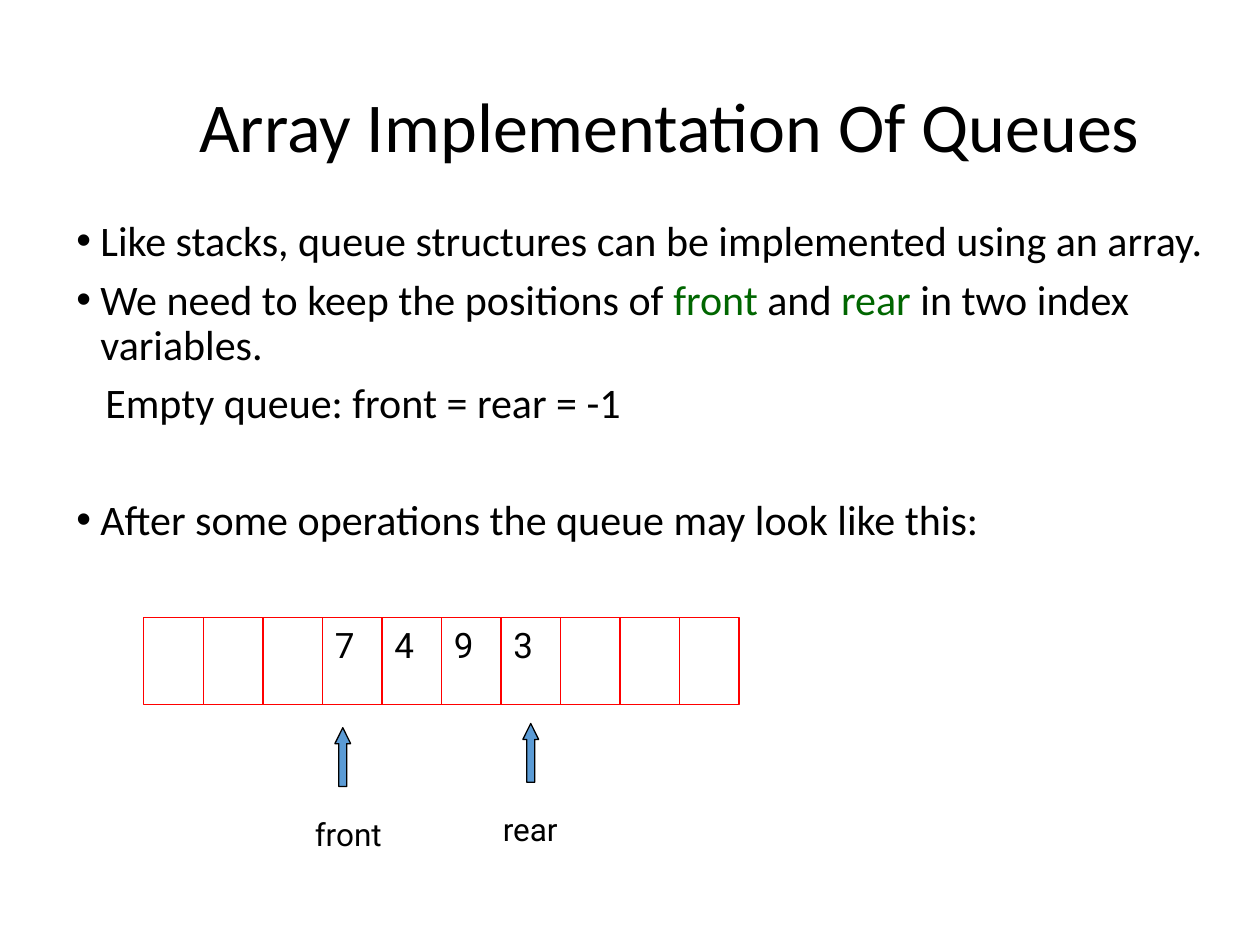
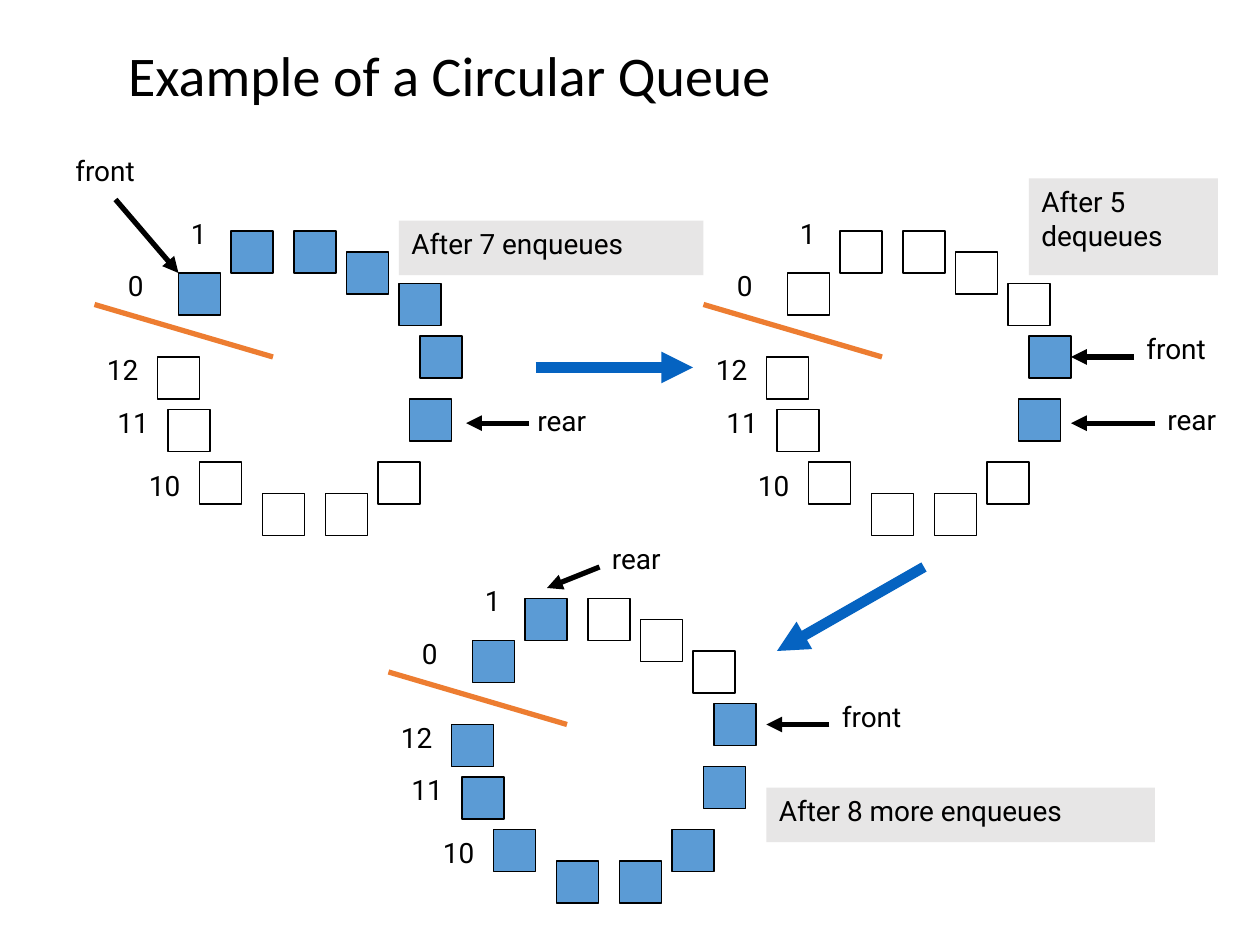
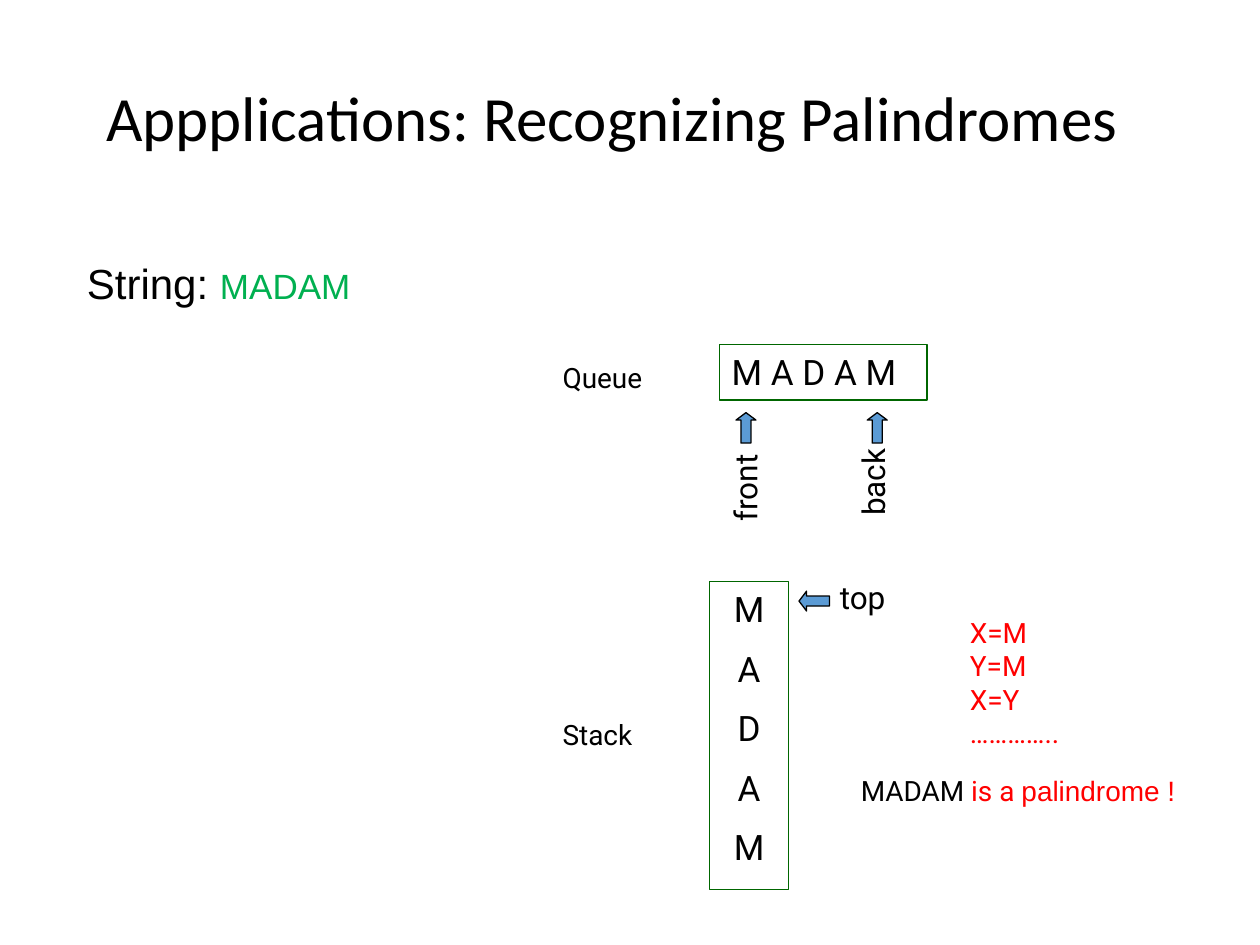
from pptx import Presentation
from pptx.dml.color import RGBColor
from pptx.enum.shapes import MSO_CONNECTOR, MSO_SHAPE
from pptx.enum.text import MSO_ANCHOR, PP_ALIGN
from pptx.oxml.ns import qn
from pptx.util import Inches, Pt
from lxml.etree import SubElement

COLORS = {
    "black": "000000",
    "blue": "5B9BD5",
    "deep_blue": "0563C1",
    "orange": "ED7D31",
    "grey": "E7E6E6",
    "red": "FF0000",
    "dark_green": "006600",
    "green": "00B050",
}
TITLE_FONT = "Calibri"
LABEL_FONT = "Roboto"
PLAIN_FONT = "Arial"

SLIDE_W, SLIDE_H = Inches(10), Inches(7.5)
COLS, ROWS = 120, 90

RING_CELLS = [(8, 6), (13, 2), (19, 2), (24, 4), (29, 7), (31, 12), (30, 18),
              (27, 24), (22, 27), (16, 27), (10, 24), (7, 19), (6, 14)]
RING_LABELS = [("1", 8, 0, 5), ("0", 2, 5, 5), ("12", 0, 13, 7),
               ("11", 1, 18, 9), ("10", 4, 24, 9)]
CELL = 4


def col(n):
    return round(n * SLIDE_W / COLS)


def row(n):
    return round(n * SLIDE_H / ROWS)


def place(box):
    x, y, w, h = box
    return col(x), row(y), col(w), row(h)


def rgb(name):
    return RGBColor.from_string(COLORS[name])


def style(r, size, color="black", font=LABEL_FONT):
    r.font.size = Pt(size)
    r.font.name = font
    r.font.color.rgb = rgb(color)


def write(sp, text, size, color="black", font=LABEL_FONT, align=PP_ALIGN.LEFT, gap=0):
    tf = sp.text_frame
    tf.word_wrap = True
    tf.vertical_anchor = MSO_ANCHOR.TOP
    tf.text = text
    for i, p in enumerate(tf.paragraphs):
        p.alignment = align
        p.space_before = Pt(gap if i else 0)
        for r in p.runs:
            style(r, size, color, font)


def add_runs(p, runs):
    for text, size, color, font in runs:
        r = p.add_run()
        r.text = text
        style(r, size, color, font)


def add_text(s, box, text="", size=16, color="black"):
    sp = s.shapes.add_textbox(*place(box))
    write(sp, text, size, color)
    return sp


def add_box(s, box, fill=None, line=None, kind=MSO_SHAPE.RECTANGLE):
    sp = s.shapes.add_shape(kind, *place(box))
    sp.shadow.inherit = False
    if fill:
        sp.fill.solid()
        sp.fill.fore_color.rgb = rgb(fill)
    else:
        sp.fill.background()
    if line:
        sp.line.color.rgb = rgb(line)
        sp.line.width = Pt(0.75)
    else:
        sp.line.fill.background()
    return sp


def add_block_arrow(s, box, head, kind=MSO_SHAPE.UP_ARROW):
    sp = add_box(s, box, "blue", "black", kind)
    sp.adjustments[0] = 0.5
    sp.adjustments[1] = head


def add_line(s, start, end, color="black", width=3, arrow=True):
    sp = s.shapes.add_connector(MSO_CONNECTOR.STRAIGHT, col(start[0]), row(start[1]),
                                col(end[0]), row(end[1]))
    sp.line.color.rgb = rgb(color)
    sp.line.width = Pt(width)
    if arrow:
        SubElement(sp.line._get_or_add_ln(), qn("a:tailEnd"), type="triangle")
    SubElement(sp._element.spPr, qn("a:effectLst"))
    return sp


def add_slide(prs, title, box, size):
    s = prs.slides.add_slide(prs.slide_layouts[5])
    sp = s.shapes.title
    sp.left, sp.top, sp.width, sp.height = place(box)
    write(sp, title, size, font=TITLE_FONT)
    sp.text_frame.vertical_anchor = MSO_ANCHOR.MIDDLE
    sp.text_frame.paragraphs[0].line_spacing = 0.9
    return s


def bullet_list(s, box, items):
    tf = add_text(s, box).text_frame
    for i, (bullet, gap, runs) in enumerate(items):
        p = tf.add_paragraph() if i else tf.paragraphs[0]
        p.line_spacing = 0.9
        p.space_before = Pt(gap)
        add_runs(p, [(text, 24, color, TITLE_FONT) for text, color in runs])
        pPr = p._p.get_or_add_pPr()
        pPr.set("marL", str(Inches(0.19 if bullet else 0.23)))
        pPr.set("indent", str(Inches(-0.19 if bullet else 0)))
        if bullet:
            SubElement(pPr, qn("a:buFont"), typeface=PLAIN_FONT)
            SubElement(pPr, qn("a:buChar"), char="•")
        else:
            SubElement(pPr, qn("a:buNone"))


def array_cells(s, box, values):
    x, y, w, h = box
    step = w / len(values)
    for i, value in enumerate(values):
        sp = add_box(s, (x + i * step, y, step, h), line="red")
        if value:
            write(sp, value, 20)


def index_pointer(s, box, name):
    x, y, w, h = box
    add_block_arrow(s, (x + 3.1, y, 1.5, 5.6), 1.015)
    add_text(s, (x, y + h - 4.8, w, 4.8), name, 18)


def ring(s, origin, filled):
    x, y = origin
    cells = [add_box(s, (x + dx, y + dy, CELL, CELL),
                     "blue" if i in filled else None, "black")
             for i, (dx, dy) in enumerate(RING_CELLS)]
    for text, dx, dy, w in RING_LABELS:
        add_text(s, (x + dx, y + dy, w, 5.2), text)
    add_line(s, (x, y + 9), (x + 17, y + 14), "orange", arrow=False)
    return cells


def caption(s, box, text):
    write(add_box(s, box, "grey"), text, 16)


def marker(s, box, name, start, end):
    add_text(s, box, name)
    return add_line(s, start, end)


def queue_panel(s, box):
    x, y, w, h = box
    add_text(s, (x, y + 0.9, 10.4, 4.4), "Queue")
    write(add_box(s, (x + w - 19.8, y, 19.8, 5.3), line="dark_green"), "M A D A M", 20)
    for name, arrow_x, label_x, label_y, label_w in [("front", 17.7, 13.8, 10.9, 9.5),
                                                     ("back", 30.2, 25.5, 9.9, 10.4)]:
        add_block_arrow(s, (x + arrow_x, y + 6.5, 1.9, 2.9), 0.374)
        sp = add_text(s, (x + label_x, y + label_y, label_w, 4.8), name, 18)
        sp.rotation = 270


def stack_panel(s, box):
    x, y, w, h = box
    add_text(s, (x, y + 12.3, 10.4, 4.4), "Stack")
    sp = add_box(s, (x + 15.2, y, 7.5, h), line="dark_green")
    write(sp, "\n".join("MADAM"), 20, align=PP_ALIGN.CENTER, gap=10)
    add_block_arrow(s, (x + 23.7, y + 0.9, 2.9, 1.9), 0.381, MSO_SHAPE.LEFT_ARROW)
    add_text(s, (x + w - 8.5, y - 0.9, 8.5, 4.8), "top", 18)


def array_slide(prs):
    s = add_slide(prs, "Array Implementation Of Queues", (17.8, 2.8, 102.2, 19.2), 40)
    bullet_list(s, (6.1, 20.4, 113.9, 36), [
        (True, 7.5, [("Like stacks, queue structures can be implemented using an array.",
                      "black")]),
        (True, 7.5, [("We need to keep the positions of ", "black"),
                     ("front ", "dark_green"), ("and ", "black"),
                     ("rear", "dark_green"), (" in two index variables.", "black")]),
        (False, 7.5, [("Empty queue: front = rear = -1", "black")]),
        (True, 40.5, [("After some operations the queue may look like this:", "black")]),
    ])
    array_cells(s, (13.7, 58.8, 56.7, 8.3), ["", "", "", "7", "4", "9", "3", "", "", ""])
    index_pointer(s, (28.8, 69.3, 9.5, 12.5), "front")
    index_pointer(s, (46.7, 68.9, 9.5, 12.5), "rear")


def circular_slide(prs):
    s = add_slide(prs, "Example of a Circular Queue", (11, 2, 109, 11), 32)

    ring(s, (9, 20), range(7))
    caption(s, (38, 21, 29, 5.2), "After 7 enqueues")
    marker(s, (6, 14, 19, 5.2), "front", (11, 19), (17, 26))
    marker(s, (50, 37.8, 19, 5.2), "rear", (50.4, 40.3), (44.4, 40.3))
    add_line(s, (51, 35), (66, 35), "deep_blue", 6)

    cells = ring(s, (67, 20), (5, 6))
    caption(s, (98, 17, 18, 9.2), "After 5 dequeues")
    front = marker(s, (108, 31, 10, 5.2), "front", (108, 34), (102, 34))
    front.end_connect(cells[5], 3)
    marker(s, (110, 37.7, 9, 5.2), "rear", (110, 40.3), (102, 40.3))
    add_line(s, (88, 54), (74, 62), "deep_blue", 6)

    ring(s, (37, 55), {0, 1, *range(5, 13)})
    caption(s, (73, 75, 37, 5.2), "After 8 more enqueues")
    marker(s, (79, 66, 10, 5.2), "front", (79, 69), (73, 69))
    marker(s, (57.1, 51, 9, 5.2), "rear", (57.1, 54), (52.1, 56))


def palindrome_slide(prs):
    s = add_slide(prs, "Appplications: Recognizing Palindromes",
                  (8.9, 1.9, 102.2, 19.2), 36)
    p = add_text(s, (7.1, 24.5, 29.3, 7.2)).text_frame.paragraphs[0]
    p.line_spacing = 0.9
    add_runs(p, [("String: ", 24, "black", PLAIN_FONT), ("MADAM", 20, "green", PLAIN_FONT)])
    queue_panel(s, (52.4, 32.8, 35.9, 20))
    stack_panel(s, (52.4, 55.4, 34.9, 29.3))
    add_text(s, (91.2, 58, 15.8, 14.2), "X=M\nY=M\nX=Y\n…………..", color="red")
    p = add_text(s, (80.8, 73.1, 35.9, 4.4)).text_frame.paragraphs[0]
    add_runs(p, [("MADAM", 16, "black", LABEL_FONT), (" is a ", 16, "red", LABEL_FONT),
                 ("palindrome !", 16, "red", PLAIN_FONT)])


def main():
    prs = Presentation()
    prs.slide_width, prs.slide_height = SLIDE_W, SLIDE_H
    array_slide(prs)
    circular_slide(prs)
    palindrome_slide(prs)
    prs.save("out.pptx")


if __name__ == "__main__":
    main()
